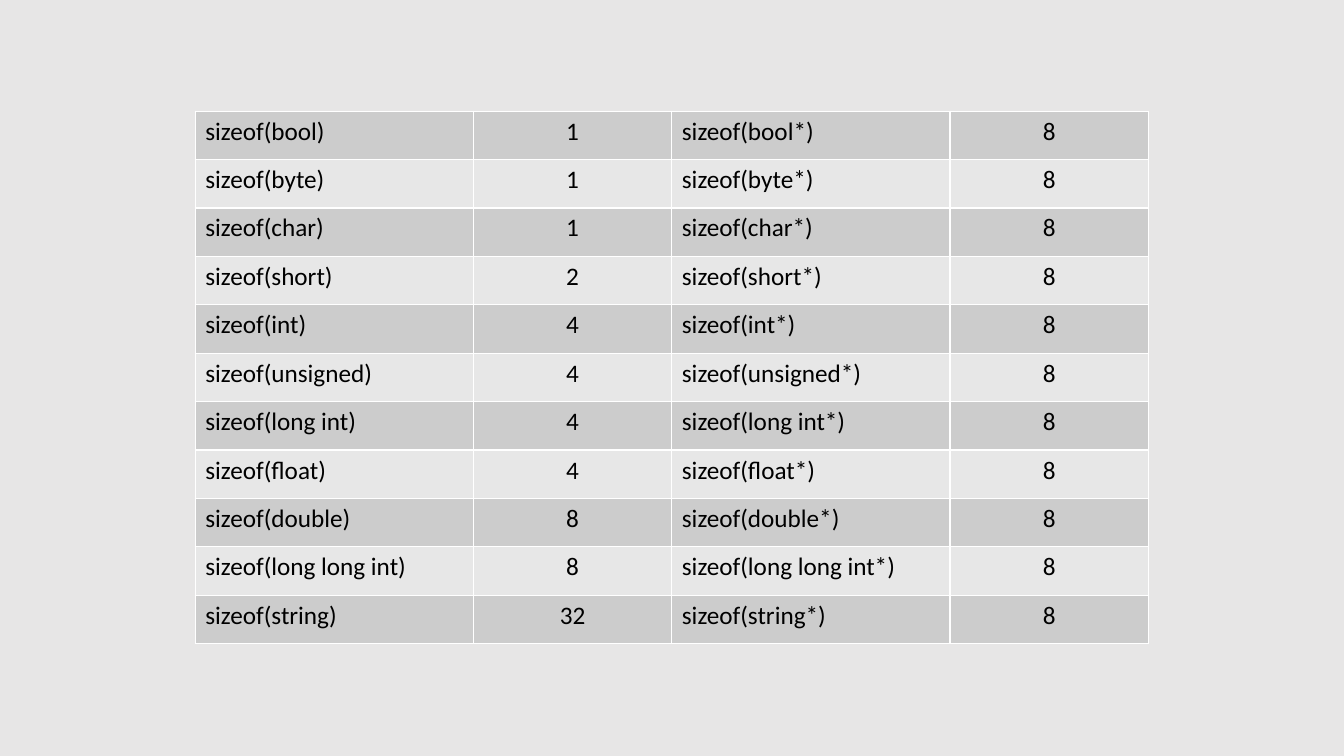
import pptx
import pptx.dml.color
import pptx.enum.text
import pptx.oxml
import pptx.oxml.ns
import pptx.util

Cm = pptx.util.Cm
Pt = pptx.util.Pt


def color(code):
    return pptx.dml.color.RGBColor.from_string(code)


def border(cell, code, width):
    """Draw a solid line on all four sides; call before the cell is filled."""
    for side in ("lnL", "lnR", "lnT", "lnB"):
        cell._tc.get_or_add_tcPr().append(pptx.oxml.parse_xml(
            f'<a:{side} {pptx.oxml.ns.nsdecls("a")} w="{Pt(width)}">'
            f'<a:solidFill><a:srgbClr val="{code}"/></a:solidFill></a:{side}>'))


sizes = {
    "bool": 1,
    "byte": 1,
    "char": 1,
    "short": 2,
    "int": 4,
    "unsigned": 4,
    "long int": 4,
    "float": 4,
    "double": 8,
    "long long int": 8,
    "string": 32,
}
pointer = 8
widths = [7.01, 5, 7.01, 5]
height = 1.22
bands = ["CCCCCC", "E7E7E7"]

deck = pptx.Presentation()
deck.slide_width = Cm(33.87)
deck.slide_height = Cm(19.05)
slide = deck.slides.add_slide(deck.slide_layouts[6])
slide.background.fill.solid()
slide.background.fill.fore_color.rgb = color("E7E6E6")

table = slide.shapes.add_table(
    len(sizes), len(widths), Cm(4.92), Cm(2.8),
    Cm(sum(widths)), Cm(height * len(sizes))).table
table.first_row = False
for column, width in zip(table.columns, widths):
    column.width = Cm(width)

for row, (kind, size) in enumerate(sizes.items()):
    table.rows[row].height = Cm(height)
    texts = [f"sizeof({kind})", str(size), f"sizeof({kind}*)", str(pointer)]
    for col, text in enumerate(texts):
        cell = table.cell(row, col)
        border(cell, "FFFFFF", 1)
        cell.fill.solid()
        cell.fill.fore_color.rgb = color(bands[row % 2])
        cell.text_frame.text = text
        line = cell.text_frame.paragraphs[0]
        if col % 2:
            line.alignment = pptx.enum.text.PP_ALIGN.CENTER
        font = line.runs[0].font
        font.name = "Calibri"
        font.size = Pt(18)
        font.color.rgb = color("000000")

deck.save("out.pptx")
